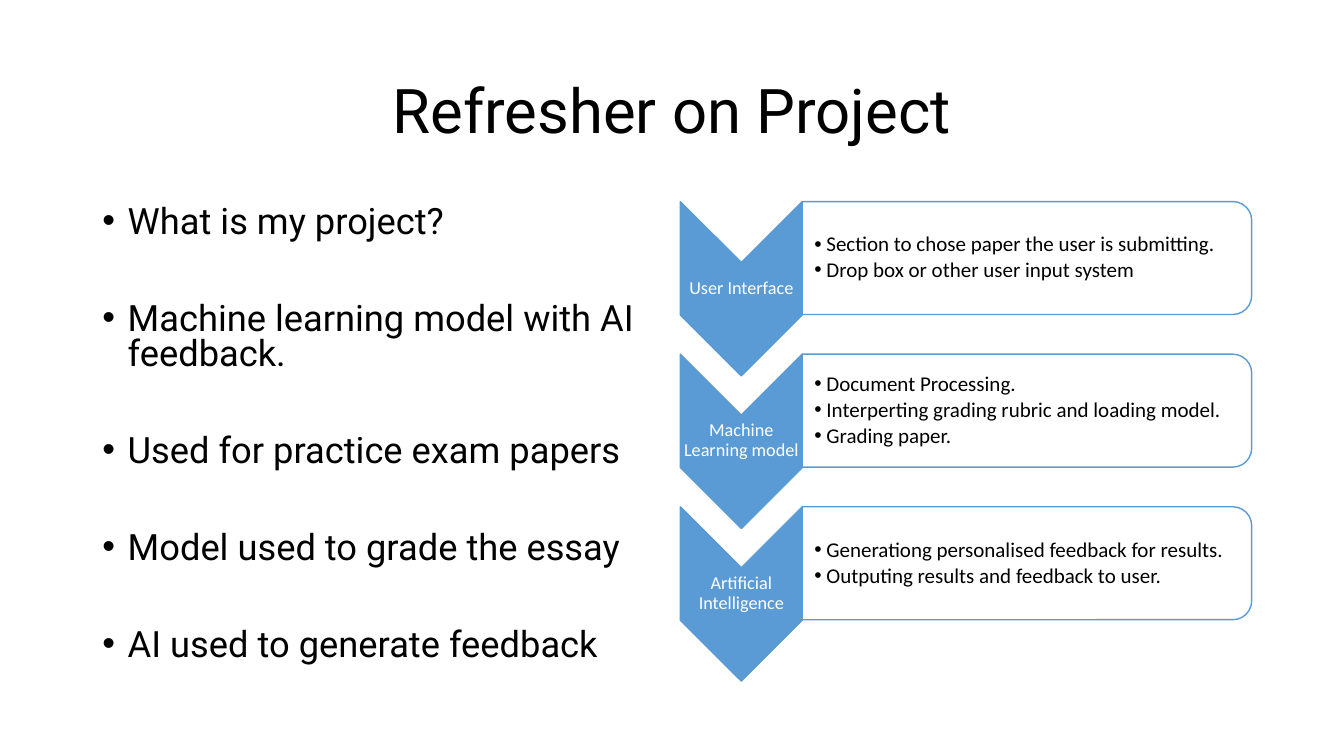
from dataclasses import dataclass

import lxml.etree
import pptx
import pptx.dml.color
import pptx.enum.shapes
import pptx.enum.text
import pptx.oxml.ns
import pptx.util

SHAPE = pptx.enum.shapes.MSO_SHAPE
ALIGN = pptx.enum.text.PP_ALIGN
ANCHOR = pptx.enum.text.MSO_ANCHOR

# Square grid over the slide
COLUMNS, ROWS = 96, 54
SLIDE_WIDTH, SLIDE_HEIGHT = pptx.util.Inches(13.33), pptx.util.Inches(7.5)

BLUE, WHITE, BLACK = "5B9BD5", "FFFFFF", "000000"


@dataclass(frozen=True)
class Box:
    """A frame in grid columns and rows."""
    left: float
    top: float
    width: float
    height: float

    def lower(self, rows: float) -> "Box":
        return Box(self.left, self.top + rows, self.width, self.height)

    def turned(self) -> "Box":
        """The frame that covers this one after a quarter turn."""
        shift = (self.width - self.height) / 2
        return Box(self.left + shift, self.top - shift, self.height, self.width)


@dataclass(frozen=True)
class TextStyle:
    font: str
    size: float
    color: str
    line_spacing: float
    before: float = 0
    after: float = 0
    alignment: ALIGN = ALIGN.LEFT
    bullet_indent: float = 0


@dataclass(frozen=True)
class Stage:
    label: str
    points: tuple[str, ...]


TITLE_BOX = Box(6.6, 2.88, 82.8, 10.44)
BODY_BOX = Box(6.6, 14.4, 40.8, 34.27)
CHEVRON_BOX = Box(48.6, 14.4, 8.7, 12.45)
LABEL_BOX = Box(48.6, 18.72, 8.7, 3.74)
CARD_BOX = Box(57.3, 14.4, 32.1, 8.07)
POINTS_BOX = Box(57.3, 14.8, 31.68, 7.27)
STAGE_STEP = 10.9

TITLE_STYLE = TextStyle("Roboto", 44, BLACK, 0.9, alignment=ALIGN.CENTER)
BODY_STYLE = TextStyle("Roboto", 25.9, BLACK, 0.8, before=44.5, bullet_indent=0.25)
LABEL_STYLE = TextStyle("Calibri", 13, WHITE, 0.9, alignment=ALIGN.CENTER)
POINT_STYLE = TextStyle("Calibri", 15, BLACK, 0.9, after=2.25, bullet_indent=0.12)

TITLE = "Refresher on Project"
BODY = (
    "What is my project?",
    "Machine learning model with AI feedback.",
    "Used for practice exam papers",
    "Model used to grade the essay",
    "AI used to generate feedback",
)
STAGES = (
    Stage("User Interface", (
        "Section to chose paper the user is submitting.",
        "Drop box or other user input system",
    )),
    Stage("Machine Learning model", (
        "Document Processing.",
        "Interperting grading rubric and loading model.",
        "Grading paper.",
    )),
    Stage("Artificial Intelligence", (
        "Generationg personalised feedback for results.",
        "Outputing results and feedback to user.",
    )),
)


def rgb(color: str) -> pptx.dml.color.RGBColor:
    return pptx.dml.color.RGBColor.from_string(color)


def place(box: Box) -> tuple[int, int, int, int]:
    column, row = SLIDE_WIDTH / COLUMNS, SLIDE_HEIGHT / ROWS
    return (round(box.left * column), round(box.top * row),
            round(box.width * column), round(box.height * row))


def move(shape, box: Box) -> None:
    shape.left, shape.top, shape.width, shape.height = place(box)


def add_bullet(paragraph, indent: float) -> None:
    properties = paragraph._p.get_or_add_pPr()
    properties.set("marL", str(pptx.util.Inches(indent)))
    properties.set("indent", str(-pptx.util.Inches(indent)))
    for tag, name, value in (("a:buFont", "typeface", "Arial"), ("a:buChar", "char", "•")):
        lxml.etree.SubElement(properties, pptx.oxml.ns.qn(tag)).set(name, value)


def write(frame, lines: tuple[str, ...], style: TextStyle, anchor: ANCHOR) -> None:
    frame.word_wrap = True
    frame.auto_size = pptx.enum.text.MSO_AUTO_SIZE.NONE
    frame.vertical_anchor = anchor
    for number, line in enumerate(lines):
        paragraph = frame.add_paragraph() if number else frame.paragraphs[0]
        paragraph.alignment = style.alignment
        paragraph.line_spacing = style.line_spacing
        paragraph.space_before = pptx.util.Pt(style.before if number else 0)
        paragraph.space_after = pptx.util.Pt(style.after)
        if style.bullet_indent:
            add_bullet(paragraph, style.bullet_indent)
        run = paragraph.add_run()
        run.text = line
        run.font.name = style.font
        run.font.size = pptx.util.Pt(style.size)
        run.font.color.rgb = rgb(style.color)


def add_turned_shape(shapes, kind: SHAPE, box: Box, fill: str, opacity: int = 100) -> None:
    shape = shapes.add_shape(kind, *place(box.turned()))
    shape.rotation = 90
    shape.shadow.inherit = False
    shape.fill.solid()
    shape.fill.fore_color.rgb = rgb(fill)
    shape.line.color.rgb = rgb(BLUE)
    shape.line.width = pptx.util.Pt(1)
    if opacity < 100:
        color = shape._element.spPr.find(
            pptx.oxml.ns.qn("a:solidFill")).find(pptx.oxml.ns.qn("a:srgbClr"))
        alpha = lxml.etree.SubElement(color, pptx.oxml.ns.qn("a:alpha"))
        alpha.set("val", str(opacity * 1000))


def add_text(shapes, box: Box, lines: tuple[str, ...], style: TextStyle,
             left_margin: float) -> None:
    frame = shapes.add_textbox(*place(box)).text_frame
    frame.margin_left = pptx.util.Inches(left_margin)
    frame.margin_top = frame.margin_right = frame.margin_bottom = pptx.util.Inches(0.01)
    write(frame, lines, style, ANCHOR.MIDDLE)


def add_stage(shapes, stage: Stage, offset: float) -> None:
    add_turned_shape(shapes, SHAPE.CHEVRON, CHEVRON_BOX.lower(offset), BLUE)
    add_text(shapes, LABEL_BOX.lower(offset), (stage.label,), LABEL_STYLE, 0.01)
    add_turned_shape(shapes, SHAPE.ROUND_2_SAME_RECTANGLE, CARD_BOX.lower(offset), WHITE, 90)
    add_text(shapes, POINTS_BOX.lower(offset), stage.points, POINT_STYLE, 0.12)


def main() -> None:
    presentation = pptx.Presentation()
    presentation.slide_width, presentation.slide_height = SLIDE_WIDTH, SLIDE_HEIGHT
    slide = presentation.slides.add_slide(presentation.slide_layouts[1])

    # Title and list
    title, body = slide.shapes.title, slide.placeholders[1]
    move(title, TITLE_BOX)
    write(title.text_frame, (TITLE,), TITLE_STYLE, ANCHOR.MIDDLE)
    move(body, BODY_BOX)
    write(body.text_frame, BODY, BODY_STYLE, ANCHOR.TOP)

    # Chevron process
    process = slide.shapes.add_group_shape()
    for number, stage in enumerate(STAGES):
        add_stage(process.shapes, stage, number * STAGE_STEP)

    presentation.save("out.pptx")


if __name__ == "__main__":
    main()
